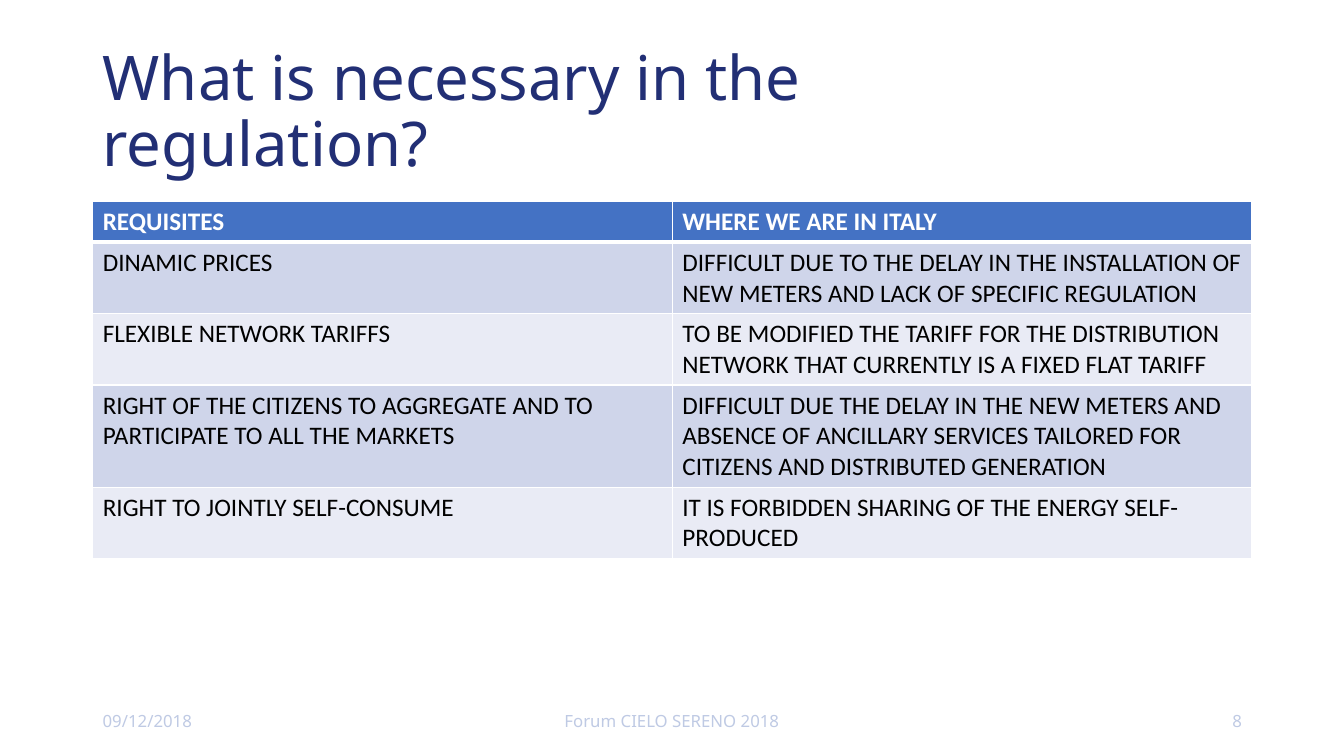
import pptx
import pptx.util
import pptx.dml.color
import pptx.enum.text
import pptx.oxml
import pptx.oxml.ns

Pt = pptx.util.Pt
RGB = pptx.dml.color.RGBColor
ALIGN = pptx.enum.text.PP_ALIGN

NAVY = RGB(0x22, 0x2F, 0x75)
PALE_BLUE = RGB(0xBF, 0xCA, 0xE4)
HEADER_BLUE = RGB(0x44, 0x72, 0xC4)
BAND_DARK = RGB(0xCF, 0xD5, 0xEA)
BAND_LIGHT = RGB(0xE9, 0xEB, 0xF5)
WHITE = RGB(0xFF, 0xFF, 0xFF)
BLACK = RGB(0, 0, 0)

LEFT = 66.24
WIDTH = 828


def add_text(s, text, left, top, width, height, size, color, align=ALIGN.LEFT):
    tf = s.shapes.add_textbox(Pt(left), Pt(top), Pt(width), Pt(height)).text_frame
    tf.word_wrap = True
    tf.vertical_anchor = pptx.enum.text.MSO_ANCHOR.MIDDLE
    p = tf.paragraphs[0]
    p.alignment = align
    r = p.add_run()
    r.text = text
    r.font.name = "Noto Sans"
    r.font.size = Pt(size)
    r.font.color.rgb = color
    return p


def set_borders(cell, top, bottom):
    tcPr = cell._tc.get_or_add_tcPr()
    sides = [("lnL", 1), ("lnR", 1), ("lnT", top), ("lnB", bottom)]
    for i, (side, points) in enumerate(sides):
        tcPr.insert(i, pptx.oxml.parse_xml(
            f'<a:{side} {pptx.oxml.ns.nsdecls("a")} w="{Pt(points)}">'
            f'<a:solidFill><a:srgbClr val="{WHITE}"/></a:solidFill></a:{side}>'))


prs = pptx.Presentation()
prs.slide_width = Pt(960)
prs.slide_height = Pt(540)
s = prs.slides.add_slide(prs.slide_layouts[6])

# Title
p = add_text(s, "What is necessary in the regulation?", LEFT, 28.8, 680.4, 104.4, 44, NAVY)
p.line_spacing = 0.9

# Requisites table: row height, requisite, state in Italy
rows = [
    (29, "REQUISITES", "WHERE WE ARE IN ITALY"),
    (51, "DINAMIC PRICES",
     "DIFFICULT DUE TO THE DELAY IN THE INSTALLATION OF NEW METERS "
     "AND LACK OF SPECIFIC REGULATION"),
    (51, "FLEXIBLE NETWORK TARIFFS",
     "TO BE MODIFIED THE TARIFF FOR THE DISTRIBUTION NETWORK "
     "THAT CURRENTLY IS A FIXED FLAT TARIFF"),
    (73, "RIGHT OF THE CITIZENS TO AGGREGATE AND TO PARTICIPATE TO ALL THE MARKETS",
     "DIFFICULT DUE THE DELAY IN THE NEW METERS AND ABSENCE OF ANCILLARY SERVICES "
     "TAILORED FOR CITIZENS AND DISTRIBUTED GENERATION"),
    (51, "RIGHT TO JOINTLY SELF-CONSUME",
     "IT IS FORBIDDEN SHARING OF THE ENERGY SELF-PRODUCED"),
]
table = s.shapes.add_table(len(rows), 2, Pt(LEFT), Pt(144), Pt(WIDTH),
                           Pt(sum(row[0] for row in rows))).table
for i, (height, *texts) in enumerate(rows):
    table.rows[i].height = Pt(height)
    header = i == 0
    for j, text in enumerate(texts):
        cell = table.cell(i, j)
        cell.fill.solid()
        cell.fill.fore_color.rgb = HEADER_BLUE if header else BAND_DARK if i % 2 else BAND_LIGHT
        set_borders(cell, 3 if i == 1 else 1, 3 if header else 1)
        r = cell.text_frame.paragraphs[0].add_run()
        r.text = text
        r.font.name = "Calibri"
        r.font.size = Pt(18)
        r.font.bold = header
        r.font.color.rgb = WHITE if header else BLACK

# Footer
footer = [
    ("09/12/2018", LEFT, 216, ALIGN.LEFT),
    ("Forum CIELO SERENO 2018", 318, 324, ALIGN.CENTER),
    ("8", LEFT + WIDTH - 216, 216, ALIGN.RIGHT),
]
for text, left, width, align in footer:
    add_text(s, text, left, 500.4, width, 28.8, 12, PALE_BLUE, align)

prs.save("out.pptx")
